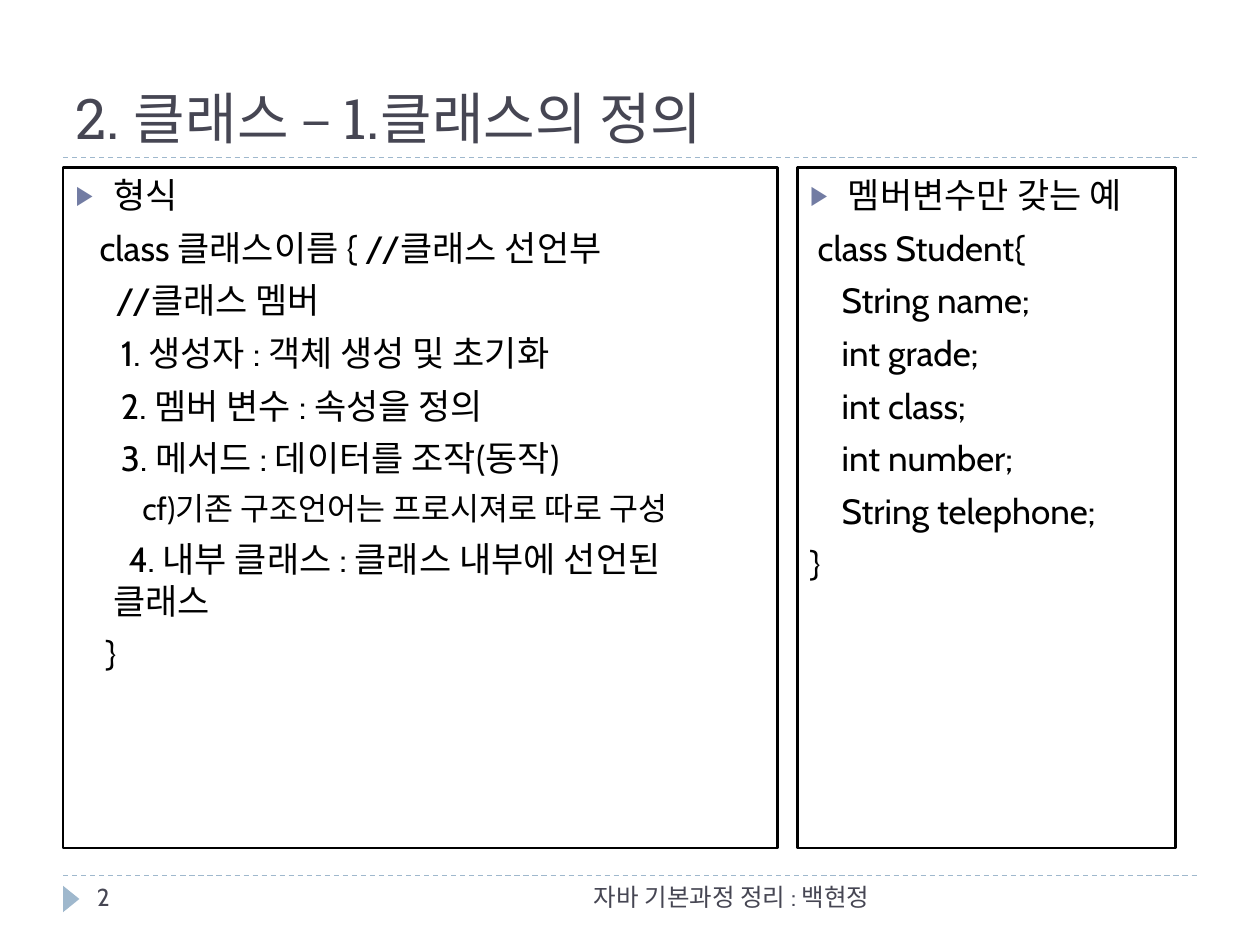
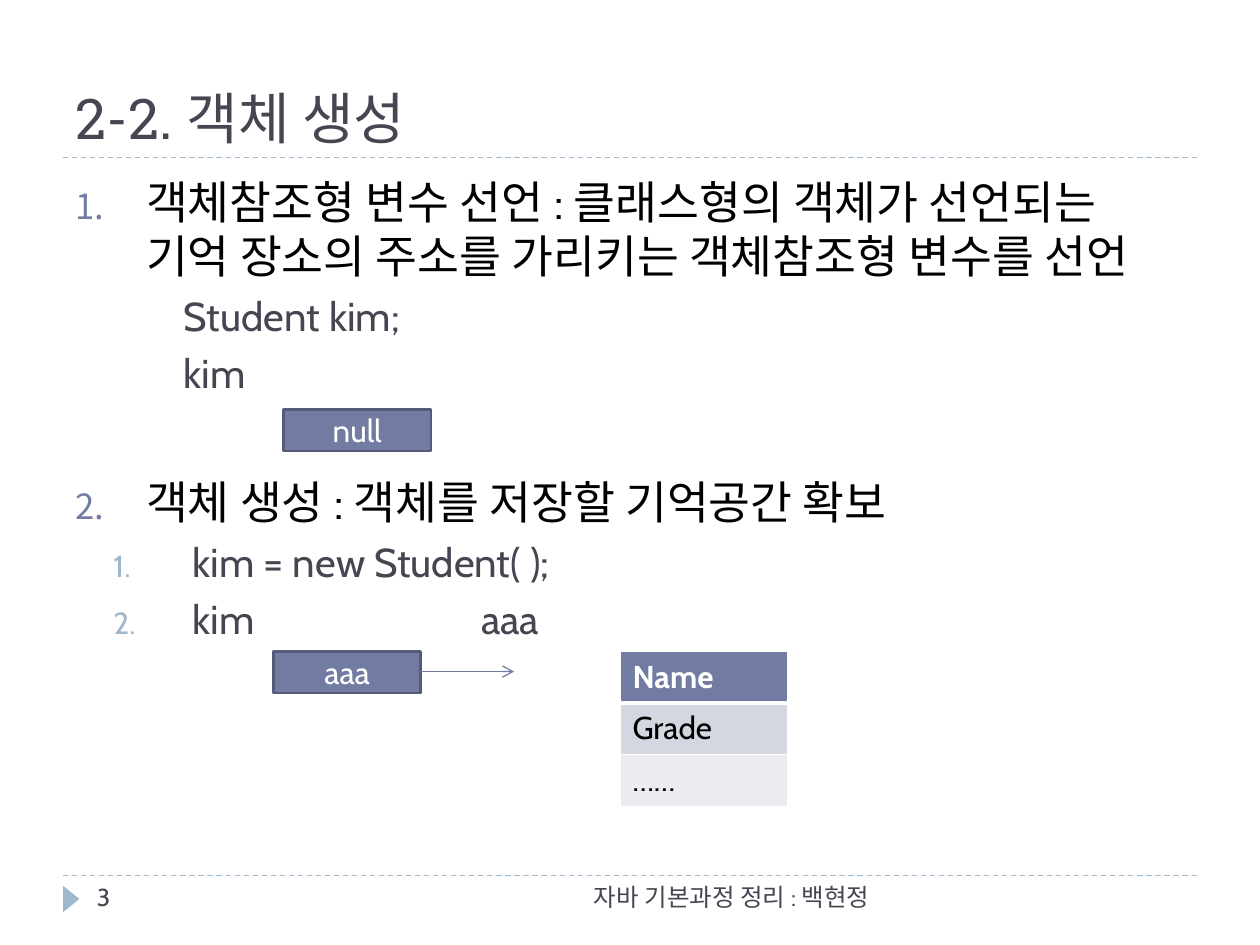
from lxml import etree
from pptx import Presentation
from pptx.dml.color import RGBColor
from pptx.enum.dml import MSO_LINE
from pptx.enum.shapes import MSO_CONNECTOR, MSO_SHAPE
from pptx.enum.text import MSO_ANCHOR, MSO_AUTO_SIZE, PP_ALIGN
from pptx.oxml.ns import qn
from pptx.util import Inches, Pt

LEFT, CENTER, RIGHT = PP_ALIGN.LEFT, PP_ALIGN.CENTER, PP_ALIGN.RIGHT
TOP, MIDDLE, BOTTOM = MSO_ANCHOR.TOP, MSO_ANCHOR.MIDDLE, MSO_ANCHOR.BOTTOM

BLACK = RGBColor(0x00, 0x00, 0x00)
WHITE = RGBColor(0xFF, 0xFF, 0xFF)
SLATE = RGBColor(0x46, 0x46, 0x53)
INDIGO = RGBColor(0x72, 0x7C, 0xA3)
INDIGO_DARK = RGBColor(0x54, 0x5C, 0x79)
SKY = RGBColor(0x9F, 0xB8, 0xCD)
ROW_FILLS = [INDIGO, RGBColor(0xD5, 0xD7, 0xE0), RGBColor(0xEB, 0xEC, 0xF0)]

BODY_FONT, TITLE_FONT = "Cabin", "Roboto Slab"

# Shared frame, in inches
MARGIN, CONTENT_WIDTH = 0.5, 9
TITLE_TOP, TITLE_RULE, FOOTER_RULE = 0.17, 1.25, 6.95
BODY_TOP, BODY_HEIGHT = 1.33, 5.4
BOX_SIZE = (1.17, 0.33)

FOOTER = "자바 기본과정 정리 : 백현정"
CLASS_TITLE = "2. 클래스 – 1.클래스의 정의"
OBJECT_TITLE = "2-2. 객체 생성"

ARROW_ITEM = dict(left=0.3, first=-0.3, bullet="▶")

# Each panel: left, width, lines of (text, format)
PANELS = [
    (MARGIN, 5.67, [
        ("형식", ARROW_ITEM),
        ("class 클래스이름 { //클래스 선언부", dict(left=0.19)),
        ("//클래스 멤버", dict(left=0.32)),
        ("1. 생성자 : 객체 생성 및 초기화", dict(left=0.36)),
        ("2. 멤버 변수 : 속성을 정의", dict(left=0.36)),
        ("3. 메서드 : 데이터를 조작(동작)", dict(left=0.36)),
        ("cf)기존 구조언어는 프로시져로 따로 구성", dict(left=0.53, size=18)),
        ("4. 내부 클래스 : 클래스 내부에 선언된 클래스", dict(left=0.3, first=0.12)),
        ("}", dict(left=0.24)),
    ]),
    (6.33, 3, [
        ("멤버변수만 갖는 예", ARROW_ITEM),
        ("class Student{", dict(left=0.06)),
        ("String name;", dict(left=0.25)),
        ("int grade;", dict(left=0.25)),
        ("int class;", dict(left=0.25)),
        ("int number;", dict(left=0.25)),
        ("String telephone;", dict(left=0.25)),
        ("}", {}),
    ]),
]

STEP = dict(size=26, left=0.56, first=-0.56, bullet="1.")
CODE = dict(size=23, color=SLATE, level=1, before=5, left=0.86)
CODE_STEP = {**CODE, "left": 0.93, "first": -0.63, "bullet": "1.", "bullet_color": SKY}

OBJECT_STEPS = [
    ("객체참조형 변수 선언 : 클래스형의 객체가 선언되는 기억 장소의 주소를 "
     "가리키는 객체참조형 변수를 선언", STEP),
    ("Student kim;", CODE),
    ("kim", CODE),
    ("객체 생성 : 객체를 저장할 기억공간 확보", {**STEP, "before": 44}),
    ("kim = new Student( );", CODE_STEP),
    ("kim\taaa", {**CODE_STEP, "tab": 3.22}),
]
REFERENCE_BOXES = [("null", 2.25, 3.25), ("aaa", 2.17, 5.17)]
OBJECT_FIELDS = ["Name", "Grade", "……"]


def add_child(parent, tag, **attributes):
    child = etree.SubElement(parent, qn(tag))
    for name, value in attributes.items():
        child.set(name, str(value))
    return child


def add_text(frame, text, *, size=20, font=BODY_FONT, color=BLACK, bold=False,
             align=LEFT, level=0, left=0, first=0, before=0,
             bullet=None, bullet_color=INDIGO, tab=None):
    """Fill the frame's empty first paragraph, or append a new one."""
    para = frame.paragraphs[0] if not frame.text else frame.add_paragraph()
    para.alignment, para.level = align, level
    para.space_before = Pt(before)
    span = para.add_run()
    span.text = text
    span.font.name, span.font.size, span.font.bold = font, Pt(size), bold
    span.font.color.rgb = color

    properties = para._p.get_or_add_pPr()
    properties.set("marL", str(Inches(left)))
    properties.set("indent", str(Inches(first)))
    if bullet:
        add_child(add_child(properties, "a:buClr"), "a:srgbClr", val=bullet_color)
        add_child(properties, "a:buSzPct", val=76000)
        add_child(properties, "a:buFont", typeface=BODY_FONT)
        if bullet == "1.":
            add_child(properties, "a:buAutoNum", type="arabicPeriod")
        else:
            add_child(properties, "a:buChar", char=bullet)
    else:
        add_child(properties, "a:buNone")
    if tab:
        stops = add_child(properties, "a:tabLst")
        add_child(stops, "a:tab", pos=Inches(tab), algn="l")


def place(shape, left, top, width, height, anchor=TOP):
    shape.left, shape.top = Inches(left), Inches(top)
    shape.width, shape.height = Inches(width), Inches(height)
    frame = shape.text_frame
    frame.word_wrap = True
    frame.auto_size = MSO_AUTO_SIZE.NONE
    frame.vertical_anchor = anchor
    return frame


def add_line(page, start, end, color, dashed=False, arrow=False):
    line = page.shapes.add_connector(
        MSO_CONNECTOR.STRAIGHT, *(Inches(value) for value in start + end))
    line.line.color.rgb, line.line.width = color, Pt(0.75)
    if dashed:
        line.line.dash_style = MSO_LINE.DASH
    if arrow:
        add_child(line.line._get_or_add_ln(), "a:tailEnd", type="arrow")
    add_child(line._element.spPr, "a:effectLst")


def add_solid(page, kind, left, top, width, height, fill, outline=None):
    shape = page.shapes.add_shape(
        kind, *(Inches(value) for value in (left, top, width, height)))
    shape.shadow.inherit = False
    shape.fill.solid()
    shape.fill.fore_color.rgb = fill
    if outline is None:
        shape.line.fill.background()
    else:
        shape.line.color.rgb, shape.line.width = outline, Pt(1.5)
    return shape


def add_page(deck, layout, title, number):
    page = deck.slides.add_slide(deck.slide_layouts.get_by_name(layout))
    for height in (FOOTER_RULE, TITLE_RULE):
        add_line(page, (MARGIN, height), (MARGIN + CONTENT_WIDTH, height), SKY, dashed=True)
    marker = add_solid(page, MSO_SHAPE.ISOSCELES_TRIANGLE, 0.46, 7.07, 0.21, 0.13, SKY)
    marker.rotation = 90

    frame = place(page.shapes.title, MARGIN, TITLE_TOP, CONTENT_WIDTH,
                  TITLE_RULE - TITLE_TOP, BOTTOM)
    add_text(frame, title, size=32, font=TITLE_FONT, color=SLATE)
    for text, left, width, align in ((str(number), 0.67, 2.17, LEFT),
                                     (FOOTER, 3.17, 3.83, RIGHT)):
        box = page.shapes.add_textbox(0, 0, 0, 0)
        frame = place(box, left, FOOTER_RULE, width, 0.4)
        add_text(frame, text, size=14, color=SLATE, align=align)
    return page


def fill_body(shape, left, width, lines):
    frame = place(shape, left, BODY_TOP, width, BODY_HEIGHT)
    for text, style in lines:
        add_text(frame, text, **{"before": 6, **style})


def add_field_table(page, left, top, width, row_height):
    rows = len(OBJECT_FIELDS)
    table = page.shapes.add_table(
        rows, 1, Inches(left), Inches(top), Inches(width), Inches(row_height * rows)).table
    for index, (field, fill) in enumerate(zip(OBJECT_FIELDS, ROW_FILLS)):
        header = index == 0
        cell = table.cell(index, 0)
        properties = cell._tc.get_or_add_tcPr()
        for side in "LRTB":
            thick = (header and side == "B") or (index == 1 and side == "T")
            border = add_child(properties, f"a:ln{side}", w=Pt(3 if thick else 1))
            add_child(add_child(border, "a:solidFill"), "a:srgbClr", val=WHITE)
        cell.fill.solid()
        cell.fill.fore_color.rgb = fill
        add_text(cell.text_frame, field, size=18, bold=header,
                 color=WHITE if header else BLACK)


def build_class_page(deck):
    page = add_page(deck, "Two Content", CLASS_TITLE, 2)
    for index, (left, width, lines) in enumerate(PANELS, start=1):
        panel = page.placeholders[index]
        fill_body(panel, left, width, lines)
        panel.fill.solid()
        panel.fill.fore_color.rgb = WHITE
        panel.line.color.rgb, panel.line.width = BLACK, Pt(1.5)


def build_object_page(deck):
    page = add_page(deck, "Title and Content", OBJECT_TITLE, 3)
    fill_body(page.placeholders[1], MARGIN, CONTENT_WIDTH, OBJECT_STEPS)
    for text, left, top in REFERENCE_BOXES:
        box = add_solid(page, MSO_SHAPE.RECTANGLE, left, top, *BOX_SIZE, INDIGO, INDIGO_DARK)
        frame = place(box, left, top, *BOX_SIZE, MIDDLE)
        add_text(frame, text, size=18, color=WHITE, align=CENTER)
    add_field_table(page, 4.92, 5.17, 1.33, 0.41)
    add_line(page, (3.33, 5.33), (4.08, 5.33), INDIGO, arrow=True)


def main():
    deck = Presentation()
    deck.slide_width, deck.slide_height = Inches(10), Inches(7.5)
    build_class_page(deck)
    build_object_page(deck)
    deck.save("out.pptx")


if __name__ == "__main__":
    main()
